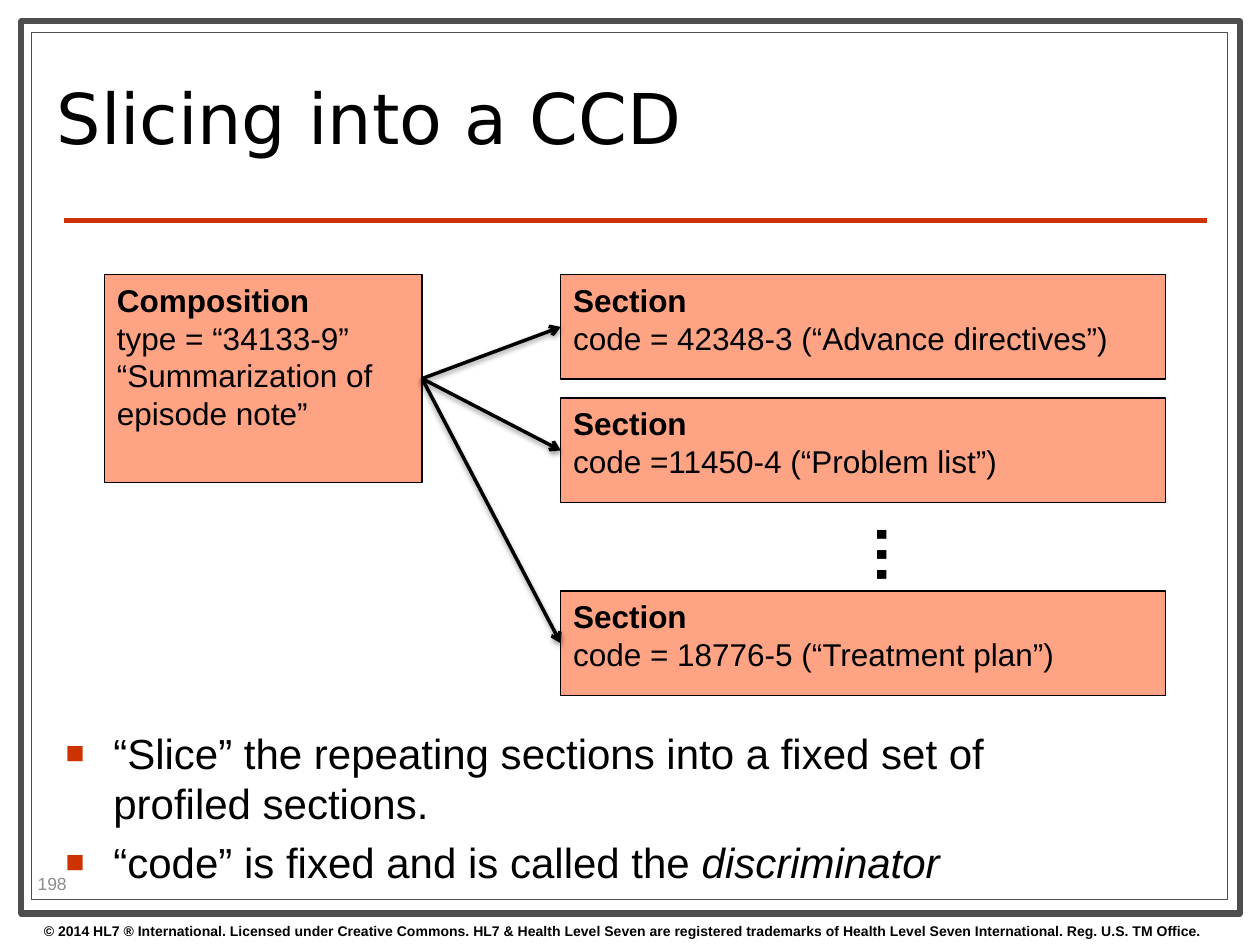
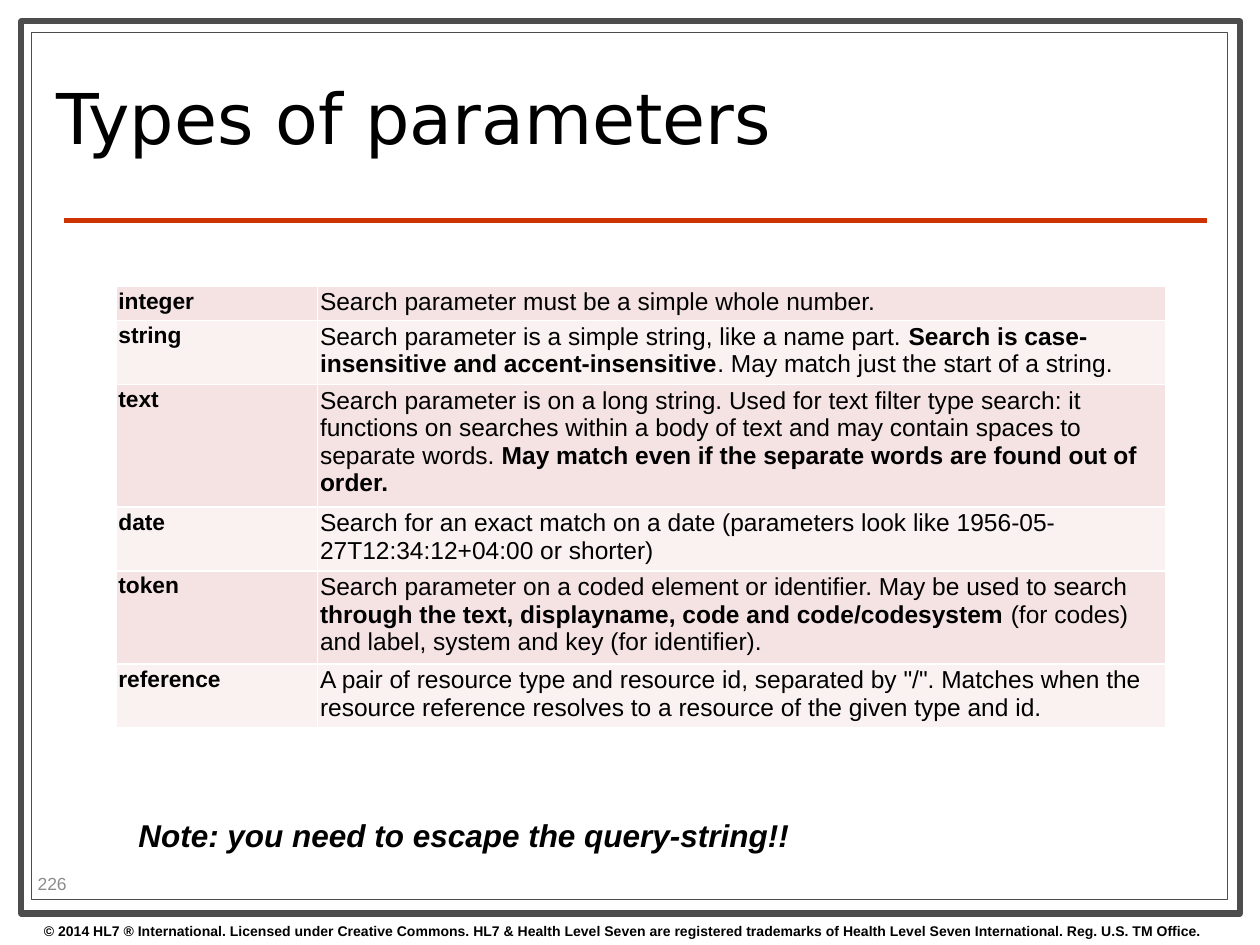
from dataclasses import dataclass

from lxml.etree import SubElement
from pptx import Presentation
from pptx.dml.color import RGBColor
from pptx.enum.shapes import MSO_CONNECTOR, MSO_SHAPE
from pptx.enum.text import MSO_ANCHOR, MSO_AUTO_SIZE, PP_ALIGN
from pptx.oxml.ns import qn
from pptx.util import Inches, Pt


@dataclass(frozen=True)
class Theme:
    # Fonts
    heading_font: str = "DejaVu Sans"
    text_font: str = "Arial"
    # Colours
    ink: str = "000000"
    paper: str = "FFFFFF"
    frame: str = "4D4D4D"
    accent: str = "CC3300"
    node: str = "FFA385"
    page_number: str = "8C8C8C"
    rows: tuple = ("F4E3E2", "FAF1F1")
    # Type sizes
    title_size: float = 40
    dots_size: float = 36
    body_size: float = 24
    node_size: float = 18
    cell_size: float = 14
    key_size: float = 13
    number_size: float = 10
    footer_size: float = 8


COPYRIGHT = (
    "© 2014 HL7 ® International. Licensed under Creative Commons. HL7 & Health Level Seven "
    "are registered trademarks of Health Level Seven International. Reg. U.S. TM Office."
)
TITLE_AND_BODY, TITLE_ONLY = 1, 5


def rgb(value):
    return RGBColor.from_string(value)


class Slides:
    """Holds the theme and the page being built."""

    def __init__(self, theme):
        self.theme = theme
        self.deck = Presentation()
        self.deck.slide_width = Inches(10)
        self.deck.slide_height = Inches(7.5)
        self.page = None

    def new_page(self, layout, title, number):
        first = self.page is None
        self.page = self.deck.slides.add_slide(self.deck.slide_layouts[layout])
        if first:
            self.master_parts()
        self.title(title)
        self.text(number, (0.2, 6.89, 0.79, 0.24), self.theme.number_size,
                  color=self.theme.page_number, anchor=MSO_ANCHOR.MIDDLE)

    def master_parts(self):
        """Put the frames, title rule and copyright line behind everything, on the master."""
        theme = self.theme
        parts = [
            self.rectangle((0.17, 0.17, 9.67, 7.08), theme.paper, theme.frame, 3.5),
            self.rectangle((0.25, 0.26, 9.49, 6.88), theme.paper, theme.frame, 0.75),
            self.line((Inches(0.51), Inches(1.75)), (Inches(9.58), Inches(1.75)),
                      theme.accent, 3),
            self.text(COPYRIGHT, (0.25, 7.27, 10, 0.23), theme.footer_size, bold=True),
        ]
        tree = self.deck.slide_master.shapes.element
        for index, part in enumerate(parts):
            part.element.xpath(".//p:cNvPr")[0].set("id", str(101 + index))
            tree.insert(2 + index, part.element)

    def place(self, shape, area):
        shape.left, shape.top, shape.width, shape.height = map(Inches, area)

    def fill_para(self, para, spans, size, font=None, color=None, bold=None, italic=None):
        """Fill a paragraph from text, or from (text, emphasis) spans."""
        for text, emphasis in [(spans, None)] if isinstance(spans, str) else spans:
            span = para.add_run()
            span.text = text
            if emphasis == "bold":
                span.font.bold = True
            elif emphasis == "italic":
                span.font.italic = True
        para.font.name = font or self.theme.text_font
        para.font.size = Pt(size)
        para.font.color.rgb = rgb(color or self.theme.ink)
        para.font.bold, para.font.italic = bold, italic

    def title(self, text):
        shape = self.page.shapes.title
        self.place(shape, (0.35, 0.36, 7.17, 1.26))
        frame = shape.text_frame
        frame.auto_size = MSO_AUTO_SIZE.NONE
        frame.vertical_anchor = MSO_ANCHOR.MIDDLE
        para = frame.paragraphs[0]
        para.alignment = PP_ALIGN.LEFT
        para.line_spacing = 0.8
        self.fill_para(para, text, self.theme.title_size, font=self.theme.heading_font)

    def text(self, text, area, size, wrap=True, anchor=MSO_ANCHOR.TOP, **style):
        box = self.page.shapes.add_textbox(*map(Inches, area))
        frame = box.text_frame
        frame.word_wrap = wrap
        frame.vertical_anchor = anchor
        self.fill_para(frame.paragraphs[0], text, size, **style)
        return box

    def rectangle(self, area, fill, outline, weight):
        shape = self.page.shapes.add_shape(MSO_SHAPE.RECTANGLE, *map(Inches, area))
        shape.shadow.inherit = False
        shape.fill.solid()
        shape.fill.fore_color.rgb = rgb(fill)
        shape.line.color.rgb = rgb(outline)
        shape.line.width = Pt(weight)
        return shape

    def node(self, area, heading, *details):
        shape = self.rectangle(area, self.theme.node, self.theme.ink, 0.75)
        frame = shape.text_frame
        frame.vertical_anchor = MSO_ANCHOR.TOP
        for index, text in enumerate((heading, *details)):
            para = frame.add_paragraph() if index else frame.paragraphs[0]
            para.alignment = PP_ALIGN.LEFT
            self.fill_para(para, text, self.theme.node_size, bold=index == 0)
        return shape

    def line(self, start, end, color, weight):
        connector = self.page.shapes.add_connector(MSO_CONNECTOR.STRAIGHT, *start, *end)
        connector.line.color.rgb = rgb(color)
        connector.line.width = Pt(weight)
        SubElement(connector.element.spPr, qn("a:effectLst"))
        return connector

    def arrow(self, source, target):
        """Join the right side of one node to the left side of another."""
        start = source.left + source.width, source.top + source.height // 2
        end = target.left, target.top + target.height // 2
        connector = self.line(start, end, self.theme.ink, 2)
        connector.begin_connect(source, 3)
        connector.end_connect(target, 1)
        properties = connector.element.spPr
        SubElement(properties.find(qn("a:ln")), qn("a:tailEnd"), type="arrow")
        shadow = SubElement(properties.find(qn("a:effectLst")), qn("a:outerShdw"),
                            blurRad=str(Pt(3.1)), dist=str(Pt(1.6)), dir="5400000",
                            rotWithShape="0")
        color = SubElement(shadow, qn("a:srgbClr"), val=self.theme.ink)
        SubElement(color, qn("a:alpha"), val="38000")

    def bullets(self, area, items):
        body = self.page.placeholders[1]
        self.place(body, area)
        frame = body.text_frame
        frame.auto_size = MSO_AUTO_SIZE.NONE
        for index, spans in enumerate(items):
            para = frame.add_paragraph() if index else frame.paragraphs[0]
            properties = para._p.get_or_add_pPr()
            properties.set("marL", str(Inches(0.38)))
            properties.set("indent", str(-Inches(0.38)))
            color = SubElement(properties, qn("a:buClr"))
            SubElement(color, qn("a:srgbClr"), val=self.theme.accent)
            SubElement(properties, qn("a:buSzPct"), val="75000")
            SubElement(properties, qn("a:buFont"), typeface=self.theme.text_font)
            SubElement(properties, qn("a:buChar"), char="■")
            para.space_before = Pt(0.2 * self.theme.body_size if index else 0)
            self.fill_para(para, spans, self.theme.body_size)

    def table(self, area, column_widths, row_heights, rows):
        holder = self.page.shapes.add_table(len(rows), len(column_widths), *map(Inches, area))
        table = holder.table
        table.first_row = False
        for column, width in zip(table.columns, column_widths):
            column.width = Inches(width)
        for index, (height, row) in enumerate(zip(row_heights, rows)):
            table.rows[index].height = Inches(height)
            fill = self.theme.rows[index % 2]
            for position, spans in enumerate(row):
                self.cell(table.cell(index, position), spans, fill, is_key=position == 0)
        holder.height = Inches(area[3])

    def cell(self, cell, spans, fill, is_key):
        cell.margin_left = cell.margin_right = Inches(0.02)
        cell.margin_top = cell.margin_bottom = Inches(0.02)
        properties = cell._tc.get_or_add_tcPr()
        for side in ("lnL", "lnR", "lnT", "lnB"):
            border = SubElement(properties, qn(f"a:{side}"), w=str(Pt(1)))
            color = SubElement(border, qn("a:solidFill"))
            SubElement(color, qn("a:srgbClr"), val=self.theme.paper)
        cell.fill.solid()
        cell.fill.fore_color.rgb = rgb(fill)
        size = self.theme.key_size if is_key else self.theme.cell_size
        self.fill_para(cell.text_frame.paragraphs[0], spans, size, bold=is_key)


def slicing_page(slides):
    slides.new_page(TITLE_AND_BODY, "Slicing into a CCD", "198")

    # Composition and the sections it is sliced into
    composition = slides.node((0.83, 2.18, 2.52, 1.65), "Composition",
                              "type = “34133-9” “Summarization of", "episode note”")
    sections = [
        (2.18, "code = 42348-3 (“Advance directives”)"),
        (3.16, "code =11450-4 (“Problem list”)"),
        (4.69, "code = 18776-5 (“Treatment plan”)"),
    ]
    for top, code in sections:
        section = slides.node((4.45, top, 4.8, 0.83), "Section", code)
        slides.arrow(composition, section)

    # Dots for the sections between
    dots = slides.text("…", (6.7, 4.06, 0.81, 0.61), slides.theme.dots_size,
                       wrap=False, bold=True)
    dots.element.txBody.bodyPr.set("vert", "eaVert")
    dots.text_frame.auto_size = MSO_AUTO_SIZE.SHAPE_TO_FIT_TEXT

    slides.bullets((0.42, 5.72, 8.44, 0.94), [
        "“Slice” the repeating sections into a fixed set of profiled sections.",
        [("“code” is fixed and is called the ", None), ("discriminator", "italic")],
    ])


def parameters_page(slides):
    slides.new_page(TITLE_ONLY, "Types of parameters", "226")

    # Parameter types
    rows = [
        ("integer", "Search parameter must be a simple whole number."),
        ("string", [
            ("Search parameter is a simple string, like a name part. ", None),
            ("Search is case-insensitive and accent-insensitive", "bold"),
            (". May match just the start of a string.", None)]),
        ("text", [
            ("Search parameter is on a long string. Used for text filter type search: it "
             "functions on searches within a body of text and may contain spaces to "
             "separate words. ", None),
            ("May match even if the separate words are found out of order.", "bold")]),
        ("date", "Search for an exact match on a date (parameters look like "
                 "1956-05-27T12:34:12+04:00 or shorter)"),
        ("token", [
            ("Search parameter on a coded element or identifier. May be used to search ", None),
            ("through the text, displayname, code and code/codesystem", "bold"),
            (" (for codes) and label, system and key (for identifier).", None)]),
        ("reference", "A pair of resource type and resource id, separated by \"/\". Matches "
                      "when the resource reference resolves to a resource of the given type "
                      "and id."),
    ]
    slides.table((0.92, 2.27, 8.33, 3.48), (1.6, 6.73),
                 (0.2, 0.33, 0.64, 0.33, 0.48, 0.27), rows)

    # Closing note
    note = slides.text("Note: you need to escape the query-string!!", (1, 6.43, 5.42, 0.4),
                       slides.theme.node_size, wrap=False, bold=True, italic=True)
    note.text_frame.auto_size = MSO_AUTO_SIZE.SHAPE_TO_FIT_TEXT


def main():
    slides = Slides(Theme())
    slicing_page(slides)
    parameters_page(slides)
    slides.deck.save("out.pptx")


if __name__ == "__main__":
    main()
